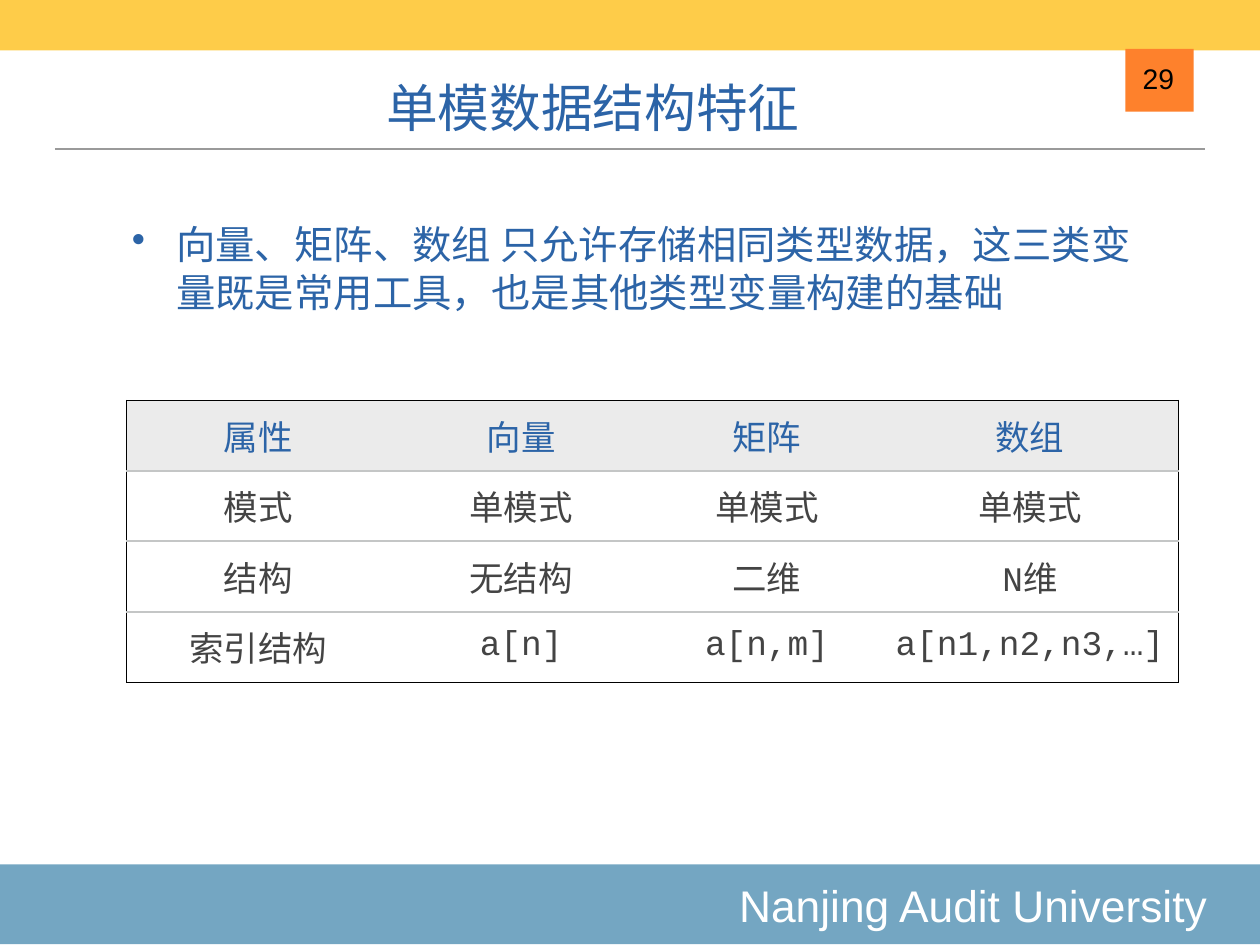
from lxml.etree import SubElement
from pptx import Presentation
from pptx.dml.color import RGBColor
from pptx.enum.shapes import MSO_CONNECTOR, MSO_SHAPE
from pptx.enum.text import MSO_ANCHOR as Anchor, MSO_AUTO_SIZE as AutoSize, PP_ALIGN as Align
from pptx.oxml import parse_xml
from pptx.oxml.ns import nsdecls, qn
from pptx.util import Cm, Pt

BLUE = RGBColor(0x2C, 0x64, 0xA7)
STEEL = RGBColor(0x74, 0xA6, 0xC2)
YELLOW = RGBColor(0xFE, 0xCC, 0x49)
ORANGE = RGBColor(0xFE, 0x81, 0x2C)
WHITE = RGBColor(0xFF, 0xFF, 0xFF)
BLACK = RGBColor(0, 0, 0)
DARK_GRAY = RGBColor(0x44, 0x44, 0x44)
RULE_GRAY = RGBColor(0x9A, 0x9A, 0x9A)
BORDER_GRAY = RGBColor(0xC4, 0xC6, 0xC6)
HEADER_GRAY = RGBColor(0xEB, 0xEB, 0xEB)

SLIDE_WIDTH, SLIDE_HEIGHT = 36.12, 27.1
BLEED = 0.05
INSET = Cm(0.15)
SANS, MONO = "Arial", "Courier New"

TABLE_ROWS = [
    ["属性", "向量", "矩阵", "数组"],
    ["模式", "单模式", "单模式", "单模式"],
    ["结构", "无结构", "二维", "N维"],
    ["索引结构", "a[n]", "a[n,m]", "a[n1,n2,n3,…]"],
]
COLUMN_WIDTHS = [7.54, 7.54, 6.55, 8.53]


def cm_box(*lengths):
    return [Cm(length) for length in lengths]


def set_margins(target, right=INSET):
    """Give a text frame or a table cell the common inner margins."""
    target.margin_left = target.margin_top = target.margin_bottom = INSET
    target.margin_right = right


def write_text(frame, text, size, color, font=SANS, align=Align.LEFT, bullet=None):
    paragraph = frame.paragraphs[0]
    paragraph.alignment = align
    if bullet:
        properties = paragraph._p.get_or_add_pPr()
        properties.set("marL", str(Cm(1.27)))
        properties.set("indent", str(-Cm(1.27)))
        SubElement(properties, qn("a:buChar")).set("char", bullet)
    run = paragraph.add_run()
    run.text = text
    run.font.name = font
    run.font.size = Pt(size)
    run.font.color.rgb = color


def add_rectangle(slide, box, color):
    shape = slide.shapes.add_shape(MSO_SHAPE.RECTANGLE, *box)
    shape.shadow.inherit = False
    shape.fill.solid()
    shape.fill.fore_color.rgb = color
    shape.line.fill.background()
    return shape


def add_text_box(slide, box, text, anchor, wrap=True, **text_format):
    frame = slide.shapes.add_textbox(*box).text_frame
    frame.word_wrap = wrap
    frame.auto_size = AutoSize.SHAPE_TO_FIT_TEXT
    frame.vertical_anchor = anchor
    set_margins(frame)
    write_text(frame, text, **text_format)


def add_footer(slide, box):
    frame = add_rectangle(slide, box, STEEL).text_frame
    frame.vertical_anchor = Anchor.MIDDLE
    set_margins(frame, right=Cm(1.57))
    write_text(frame, "Nanjing Audit University", size=36, color=WHITE, align=Align.RIGHT)


def add_title(slide, box):
    """Format the title placeholder and draw the rule below it."""
    title = slide.shapes.title
    title.left, title.top, title.width, title.height = box
    frame = title.text_frame
    frame.auto_size = AutoSize.NONE
    frame.vertical_anchor = Anchor.BOTTOM
    set_margins(frame)
    write_text(frame, "单模数据结构特征", size=42, color=BLUE, align=Align.CENTER)

    rule_top = title.top + title.height + Cm(0.16)
    rule = slide.shapes.add_connector(
        MSO_CONNECTOR.STRAIGHT, Cm(1.57), rule_top, Cm(34.54), rule_top)
    rule.line.color.rgb = RULE_GRAY
    rule.line.width = Pt(1)
    SubElement(rule._element.spPr, qn("a:effectLst"))


def add_page_number(slide, box):
    add_rectangle(slide, box, ORANGE)
    left, top = box[:2]
    number_box = (left + Cm(0.33), top + Cm(0.25), Cm(1.22), Cm(1.24))
    add_text_box(slide, number_box, "29", Anchor.BOTTOM, wrap=False,
                 size=23, color=BLACK, align=Align.RIGHT)


def set_borders(cell, borders):
    """Set the borders from (color, points) by side; a side of None has no line."""
    properties = cell._tc.get_or_add_tcPr()
    for position, side in enumerate("LRTB"):
        color, points = borders[side] or (None, 0)
        fill = (f'<a:solidFill><a:srgbClr val="{color}"/></a:solidFill>'
                if color is not None else "<a:noFill/>")
        line = parse_xml(
            f'<a:ln{side} {nsdecls("a")} w="{Pt(points)}">{fill}</a:ln{side}>')
        properties.insert(position, line)


def add_structure_table(slide, box):
    row_count, column_count = len(TABLE_ROWS), len(COLUMN_WIDTHS)
    table = slide.shapes.add_table(row_count, column_count, *box).table
    table.first_row = table.horz_banding = False
    for column, width in zip(table.columns, COLUMN_WIDTHS):
        column.width = Cm(width)
    outer, inner = (BLACK, 1), (BORDER_GRAY, 2)
    for row, texts in enumerate(TABLE_ROWS):
        table.rows[row].height = Cm(2.02)
        for column, text in enumerate(texts):
            cell = table.cell(row, column)
            cell.vertical_anchor = Anchor.MIDDLE
            set_margins(cell)
            if row == 0:
                cell.fill.solid()
                cell.fill.fore_color.rgb = HEADER_GRAY
            else:
                cell.fill.background()
            set_borders(cell, {
                "L": outer if column == 0 else None,
                "R": outer if column == column_count - 1 else None,
                "T": outer if row == 0 else inner,
                "B": outer if row == row_count - 1 else inner,
            })
            write_text(cell.text_frame, text, size=28, font=MONO, align=Align.CENTER,
                       color=BLUE if row == 0 else DARK_GRAY)


def main():
    presentation = Presentation()
    presentation.slide_width, presentation.slide_height = Cm(SLIDE_WIDTH), Cm(SLIDE_HEIGHT)
    slide = presentation.slides.add_slide(presentation.slide_layouts[5])

    band_width = SLIDE_WIDTH + 2 * BLEED
    add_footer(slide, cm_box(-BLEED, 24.79, band_width, 2.29))
    add_rectangle(slide, cm_box(-BLEED, 0, band_width, 1.45), YELLOW)
    add_title(slide, cm_box(2.11, 1.57, 29.77, 2.54))
    add_page_number(slide, cm_box(32.26, 1.4, 1.96, 1.8))
    add_structure_table(slide, cm_box(3.63, 11.48, sum(COLUMN_WIDTHS), 8.08))
    add_text_box(
        slide, cm_box(3.63, 6.17, 29.77, 3.02),
        "向量、矩阵、数组 只允许存储相同类型数据，这三类变量既是常用工具，也是其他类型变量构建的基础",
        Anchor.MIDDLE, size=32, color=BLUE, font=MONO, bullet="•")
    presentation.save("out.pptx")


if __name__ == "__main__":
    main()
